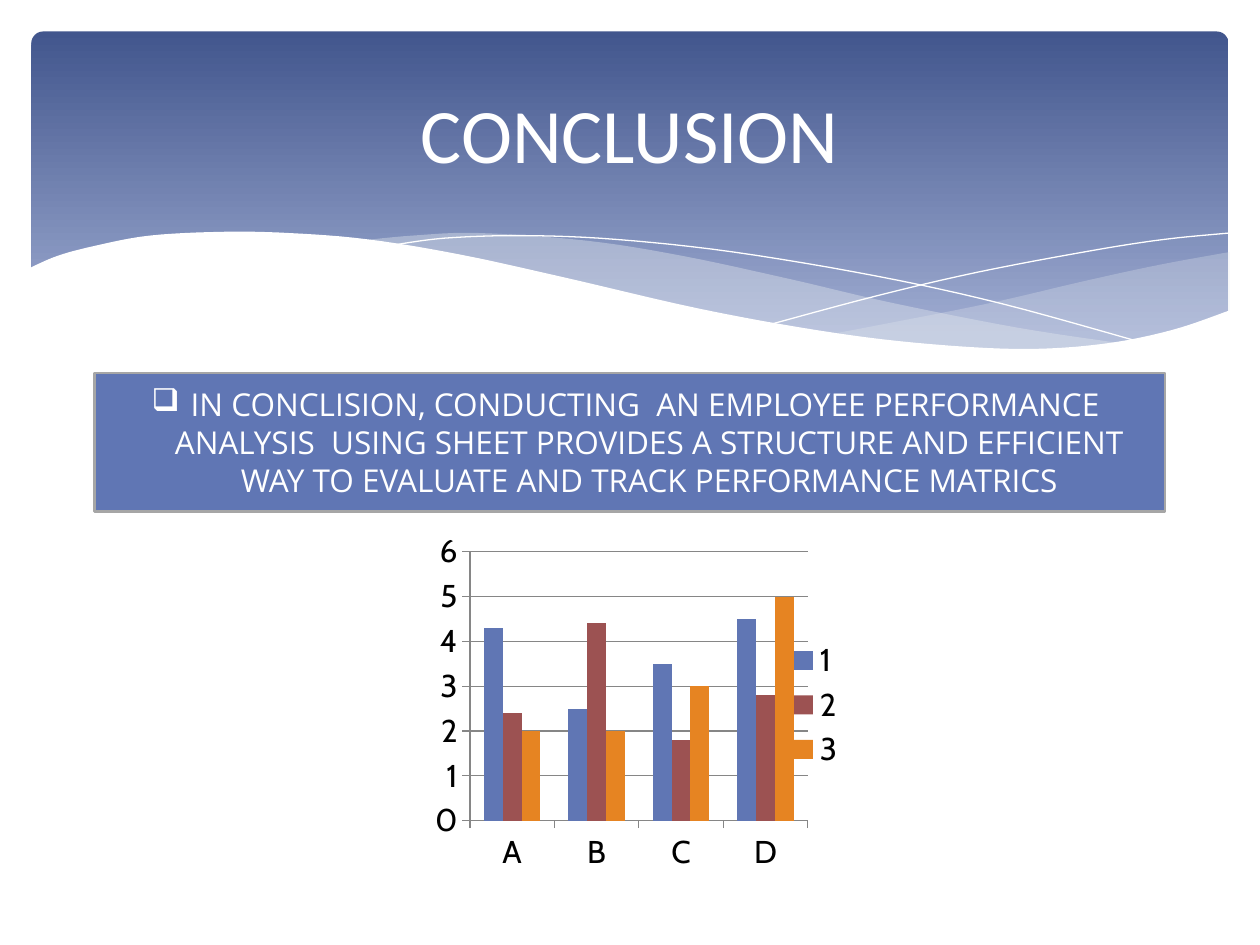
from lxml import etree
from pptx import Presentation
from pptx import util as u
from pptx.chart.data import CategoryChartData
from pptx.dml.color import RGBColor
from pptx.enum import chart as charts
from pptx.enum import shapes, text
from pptx.oxml import parse_xml
from pptx.oxml.ns import nsdecls, qn

WIDTH, HEIGHT = 10, 7.5
COLORS = {
    "banner_top": "42568D", "banner_bottom": "A0ADD2", "veil": "E4E9EF",
    "white": "FFFFFF", "black": "000000", "border": "A6A6A6", "axis": "868686",
    "blue": "6076B4", "red": "9C5252", "orange": "E68422",
}

# Knots of the smooth edges in the banner, in inches
RIGHT_VEIL_TOP = [(9.76, 2), (9.21, 2.1), (8.61, 2.23), (7.79, 2.42), (6.61, 2.65)]
RIGHT_VEIL_BOTTOM = [(6.61, 2.65), (7.32, 2.74), (8.03, 2.78), (8.72, 2.74),
                     (9.28, 2.63), (9.76, 2.47)]
LONG_VEIL_TOP = [(8.93, 2.73), (8.07, 2.6), (7.06, 2.4), (6.29, 2.22), (5.41, 2.03),
                 (4.65, 1.91), (3.8, 1.85), (3.28, 1.87), (2.86, 1.91)]
LONG_VEIL_BOTTOM = [(2.86, 1.91), (3.62, 2.03), (4.49, 2.22), (5.66, 2.48), (6.5, 2.64),
                    (7.22, 2.74), (7.96, 2.78), (8.48, 2.77), (8.93, 2.73)]
FALLING_LINE = [(3.09, 1.95), (3.53, 1.89), (4.16, 1.87), (4.89, 1.9), (5.82, 2),
                (6.95, 2.19), (7.95, 2.41), (9.07, 2.72)]
RISING_LINE = [(6.13, 2.57), (6.95, 2.35), (7.76, 2.16), (8.66, 1.99), (9.24, 1.9),
               (9.75, 1.85)]
WAVE = [(9.77, 2.46), (9.3, 2.62), (8.75, 2.73), (8.09, 2.77), (7.26, 2.72),
        (6.48, 2.62), (5.55, 2.45), (4.47, 2.2), (3.65, 2.02), (2.92, 1.9), (2.3, 1.85),
        (1.77, 1.84), (1.19, 1.87), (0.76, 1.95), (0.46, 2.03), (0.23, 2.13)]


def color(name):
    return RGBColor.from_string(COLORS[name])


def smooth(knots, steps=6):
    """Return points of a Catmull-Rom curve through the knots."""
    padded = [knots[0], *knots, knots[-1]]
    points = []
    for a, b, c, d in zip(padded, padded[1:], padded[2:], padded[3:]):
        for step in range(steps):
            t = step / steps
            points.append(tuple(
                (2 * q + (r - p) * t + (2 * p - 5 * q + 4 * r - s) * t ** 2
                 + (3 * q - p - 3 * r + s) * t ** 3) / 2
                for p, q, r, s in zip(a, b, c, d)))
    return points + [knots[-1]]


def add_outline(page, points, closed):
    start, *rest = [(u.Inches(x), u.Inches(y)) for x, y in points]
    builder = page.shapes.build_freeform(*start)
    builder.add_line_segments(rest, close=closed)
    outline = builder.convert_to_shape()
    outline.shadow.inherit = False
    return outline


def add_area(page, points, fill, opacity=100):
    area = add_outline(page, points, True)
    area.line.fill.background()
    area.fill.solid()
    area.fill.fore_color.rgb = color(fill)
    if opacity < 100:
        tint = area._element.spPr.find(".//" + qn("a:srgbClr"))
        etree.SubElement(tint, qn("a:alpha")).set("val", str(opacity * 1000))


def add_curve(page, knots):
    curve = add_outline(page, smooth(knots), False)
    curve.fill.background()
    curve.line.color.rgb = color("white")
    curve.line.width = u.Pt(0)


def add_box(page, kind, left, top, width, height):
    box = page.shapes.add_shape(kind, *map(u.Inches, (left, top, width, height)))
    box.shadow.inherit = False
    return box


def add_banner(page):
    margin = 0.25
    banner = add_box(page, shapes.MSO_SHAPE.ROUNDED_RECTANGLE,
                     margin, margin, WIDTH - 2 * margin, 2.7)
    banner.adjustments[0] = 0.034
    banner.line.fill.background()
    banner.fill.gradient()
    banner.fill.gradient_angle = 270
    stops = zip(banner.fill.gradient_stops, (0, 0.9), ("banner_top", "banner_bottom"))
    for stop, position, name in stops:
        stop.position = position
        stop.color.rgb = color(name)
    add_area(page, smooth(RIGHT_VEIL_TOP) + smooth(RIGHT_VEIL_BOTTOM), "veil", 29)
    add_area(page, smooth(LONG_VEIL_TOP) + smooth(LONG_VEIL_BOTTOM), "veil", 40)
    add_curve(page, FALLING_LINE)
    add_curve(page, RISING_LINE)
    add_area(page, smooth(WAVE) + [(0.23, 3.29), (9.77, 3.29)], "white")


def style_font(font, size, name, tint):
    font.size = u.Pt(size)
    font.name = name
    font.color.rgb = color(tint)


def write_centred(box, words, size, font):
    box.text_frame.vertical_anchor = text.MSO_ANCHOR.MIDDLE
    box.text_frame.word_wrap = True
    para = box.text_frame.paragraphs[0]
    para.alignment = text.PP_ALIGN.CENTER
    span = para.add_run()
    span.text = words
    style_font(span.font, size, font, "white")
    return para


def add_chart(page):
    data = CategoryChartData()
    data.categories = ["A", "B", "C", "D"]
    data.add_series("1", (4.3, 2.5, 3.5, 4.5))
    data.add_series("2", (2.4, 4.4, 1.8, 2.8))
    data.add_series("3", (2, 2, 3, 5))
    frame = page.shapes.add_chart(charts.XL_CHART_TYPE.COLUMN_CLUSTERED,
                                  *map(u.Inches, (2.95, 4.14, 3.86, 2.91)), data)
    chart = frame.chart
    chart.has_title = False
    style_font(chart.font, 18, "Cabin", "black")
    chart.has_legend = True
    chart.legend.position = charts.XL_LEGEND_POSITION.RIGHT
    chart.legend.include_in_layout = False
    chart.value_axis.has_major_gridlines = True
    for line in (chart.category_axis.format.line, chart.value_axis.format.line,
                 chart.value_axis.major_gridlines.format.line):
        line.color.rgb = color("axis")
        line.width = u.Pt(0.75)
    for axis in (chart.category_axis, chart.value_axis):
        axis.major_tick_mark = charts.XL_TICK_MARK.OUTSIDE
    plot = chart.plots[0]
    plot.gap_width = 150
    plot.vary_by_categories = False
    for series, name in zip(plot.series, ("blue", "red", "orange")):
        series.format.fill.solid()
        series.format.fill.fore_color.rgb = color(name)
    place_plot(chart, x=0.202, y=0.082, w=0.695, h=0.734)


def place_plot(chart, **shares):
    """Fix the inner plot area, given as shares of the chart's size."""
    area = chart._chartSpace.find(".//" + qn("c:plotArea"))
    for old in area.findall(qn("c:layout")):
        area.remove(old)
    settings = {"layoutTarget": "inner", "xMode": "edge", "yMode": "edge", **shares}
    items = "".join(f'<c:{key} val="{value}"/>' for key, value in settings.items())
    area.insert(0, parse_xml(f'<c:layout {nsdecls("c")}><c:manualLayout>{items}'
                             '</c:manualLayout></c:layout>'))


def place_title(page, words):
    title = page.shapes.title
    title.left, title.top, title.width, title.height = map(u.Inches, (0.5, 0.37, 9, 1.37))
    write_centred(title, words, 44, "Calibri")
    page.shapes._spTree.append(title._element)  # in front of the banner


def add_statement(page, words):
    box = add_box(page, shapes.MSO_SHAPE.RECTANGLE, 0.75, 2.96, 8.5, 1.1)
    box.fill.solid()
    box.fill.fore_color.rgb = color("blue")
    box.line.color.rgb = color("border")
    box.line.width = u.Pt(1.25)
    para = write_centred(box, words, 18, "Open Sans")
    properties = para._p.get_or_add_pPr()
    indent = u.Inches(0.31)
    properties.set("marL", str(indent))
    properties.set("indent", str(-indent))
    etree.SubElement(properties, qn("a:buChar")).set("char", "❑")


def main():
    deck = Presentation()
    deck.slide_width, deck.slide_height = u.Inches(WIDTH), u.Inches(HEIGHT)
    page = deck.slides.add_slide(deck.slide_layouts[5])
    add_banner(page)
    add_chart(page)
    place_title(page, "CONCLUSION")
    add_statement(page, "IN CONCLISION, CONDUCTING  AN EMPLOYEE PERFORMANCE  ANALYSIS  "
                        "USING SHEET PROVIDES A STRUCTURE AND EFFICIENT WAY TO EVALUATE "
                        "AND TRACK PERFORMANCE MATRICS")
    deck.save("out.pptx")


if __name__ == "__main__":
    main()
